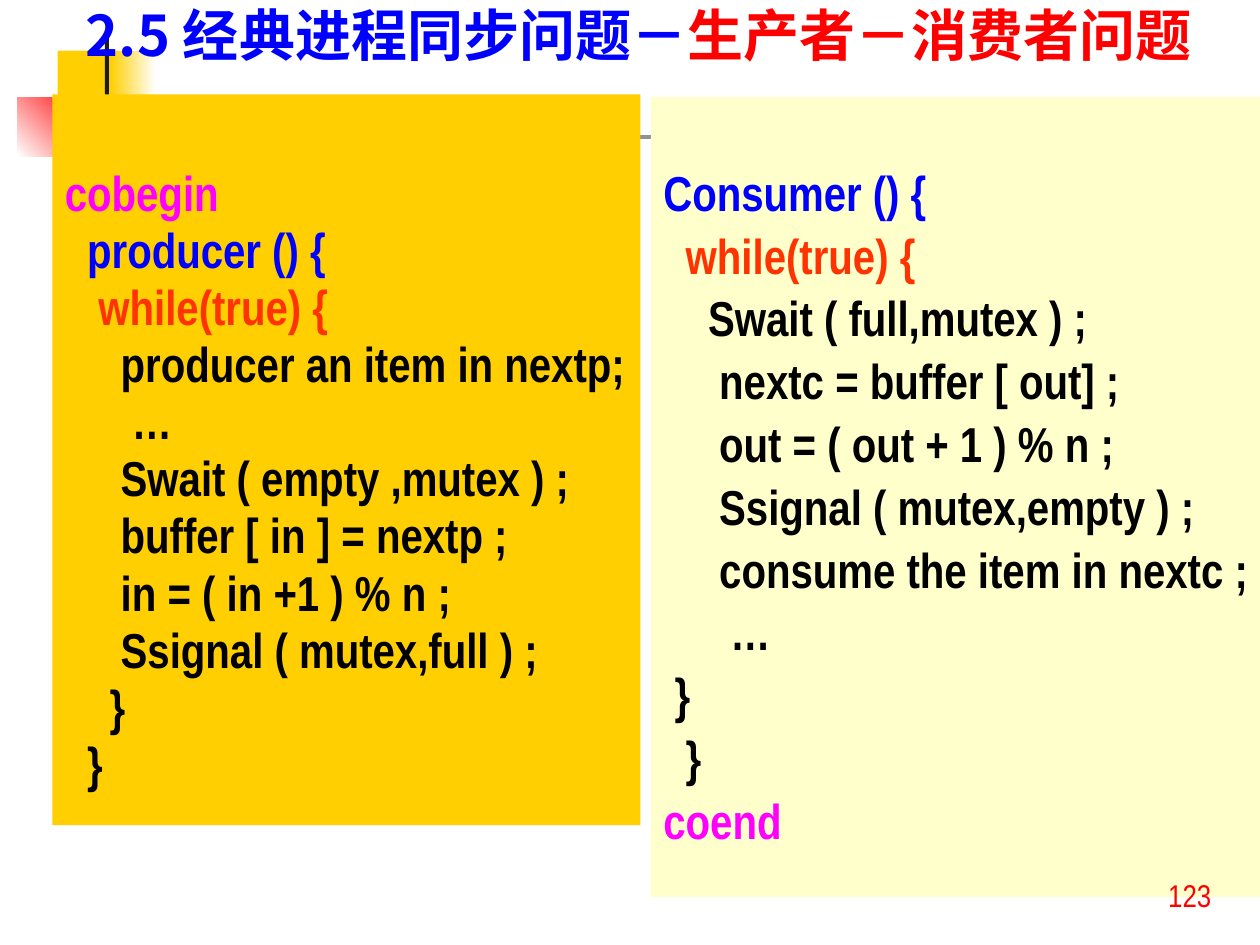
from pptx import Presentation
from pptx.dml.color import RGBColor
from pptx.enum.shapes import MSO_SHAPE
from pptx.enum.text import MSO_ANCHOR, PP_ALIGN
from pptx.oxml.ns import qn
from pptx.util import Pt

RECTANGLE = MSO_SHAPE.RECTANGLE
TOP, BOTTOM = MSO_ANCHOR.TOP, MSO_ANCHOR.BOTTOM
LEFT = PP_ALIGN.LEFT

GOLD = RGBColor(0xFF, 0xCF, 0x01)
CREAM = RGBColor(0xFF, 0xFF, 0xCC)
WHITE = RGBColor(0xFF, 0xFF, 0xFF)
BLACK = RGBColor(0x00, 0x00, 0x00)
CHARCOAL = RGBColor(0x1C, 0x1C, 0x1C)
RED = RGBColor(0xFF, 0x00, 0x00)
ORANGE = RGBColor(0xFF, 0x33, 0x00)
BLUE = RGBColor(0x00, 0x00, 0xFF)
MAGENTA = RGBColor(0xFF, 0x00, 0xFF)

CODE_FONT = "Arial Narrow"
TITLE_FONT = "Noto Sans CJK SC"

PRODUCER = [
    ("cobegin", MAGENTA),
    ("  producer () {", BLUE),
    ("   while(true) {", ORANGE),
    ("     producer an item in nextp;", BLACK),
    ("      …", BLACK),
    ("     Swait ( empty ,mutex ) ;", BLACK),
    ("     buffer [ in ] = nextp ;", BLACK),
    ("     in = ( in +1 ) % n ;", BLACK),
    ("     Ssignal ( mutex,full ) ;", BLACK),
    ("    }", BLACK),
    ("  }", BLACK),
]
CONSUMER = [
    ("Consumer () {", BLUE),
    ("  while(true) {", ORANGE),
    ("    Swait ( full,mutex ) ;", BLACK),
    ("     nextc = buffer [ out] ;", BLACK),
    ("     out = ( out + 1 ) % n ;", BLACK),
    ("     Ssignal ( mutex,empty ) ;", BLACK),
    ("     consume the item in nextc ;", BLACK),
    ("      …", BLACK),
    (" }", BLACK),
    ("  }", BLACK),
    ("coend", MAGENTA),
]


class SlideBuilder:
    def __init__(self, slide):
        self.slide = slide

    def rectangle(self, box, *colors, angle=0):
        """Fill with one colour, or with a gradient from the first to the second."""
        shape = self.slide.shapes.add_shape(RECTANGLE, *map(Pt, box))
        shape.shadow.inherit = False
        shape.line.fill.background()
        if len(colors) == 1:
            shape.fill.solid()
            shape.fill.fore_color.rgb = colors[0]
        else:
            shape.fill.gradient()
            shape.fill.gradient_angle = angle
            for stop, color in zip(shape.fill.gradient_stops, colors):
                stop.color.rgb = color
        return shape

    def run(self, paragraph, text, color, size, font, bold):
        run = paragraph.add_run()
        run.text = text
        run.font.size = Pt(size)
        run.font.bold = bold
        run.font.name = font
        run.font.color.rgb = color
        east_asian = run.font._element.makeelement(qn("a:ea"), {"typeface": font})
        run.font._element.find(qn("a:latin")).addnext(east_asian)

    def code_panel(self, box, fill, lines, pitch, top_margin):
        frame = self.rectangle(box, fill).text_frame
        frame.word_wrap = True
        frame.vertical_anchor = TOP
        frame.margin_top = Pt(top_margin)
        frame.margin_right = 0
        for index, (text, color) in enumerate(lines):
            paragraph = frame.add_paragraph() if index else frame.paragraphs[0]
            paragraph.alignment = LEFT
            paragraph.line_spacing = Pt(pitch)
            self.run(paragraph, text, color, 28, CODE_FONT, True)

    def label(self, box, parts, size, font, bold=False, anchor=TOP):
        frame = self.slide.shapes.add_textbox(*map(Pt, box)).text_frame
        frame.word_wrap = True
        frame.vertical_anchor = anchor
        for text, color in parts:
            self.run(frame.paragraphs[0], text, color, size, font, bold)


def main():
    presentation = Presentation()
    presentation.slide_width, presentation.slide_height = Pt(720), Pt(540)
    builder = SlideBuilder(presentation.slides.add_slide(presentation.slide_layouts[6]))

    builder.rectangle((33, 29, 34.5, 37.5), GOLD)
    builder.rectangle((63, 29, 26, 37.5), GOLD, WHITE)
    builder.rectangle((10, 56, 44, 33.5), WHITE, RED, angle=45)
    builder.rectangle((60, 20, 2.2, 83), CHARCOAL)
    builder.rectangle((36.5, 77, 648, 2.2), CHARCOAL, WHITE)

    builder.code_panel((30, 54, 336, 417.6), GOLD, PRODUCER, 32.6, 40)
    builder.code_panel((372, 55.5, 348, 457), CREAM, CONSUMER, 35.9, 35)

    title = [("2.5 经典进程同步问题－", BLUE), ("生产者－消费者问题", RED)]
    builder.label((42, 0, 678, 42), title, 32, TITLE_FONT, True, BOTTOM)
    builder.label((660.5, 497, 45, 28), [("123", RED)], 18, CODE_FONT)

    presentation.save("out.pptx")


if __name__ == "__main__":
    main()
